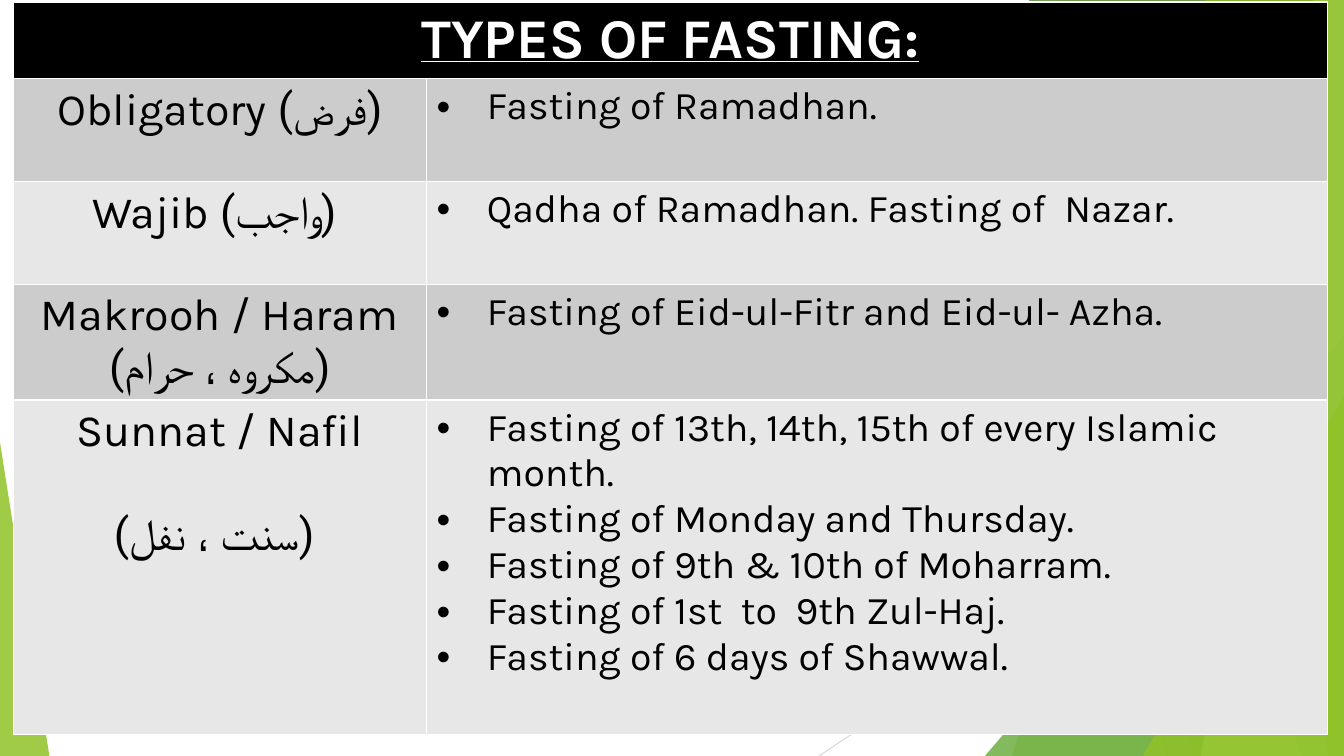
"""Build a slide with a table of the types of fasting."""
from lxml import etree
from pptx import Presentation
from pptx.dml.color import RGBColor
from pptx.enum import shapes, text
from pptx.oxml import ns
from pptx.util import Pt


def paint(fill, color, opacity=100):
    """Fill with a hex colour at an opacity in percent."""
    fill.solid()
    fill.fore_color.rgb = RGBColor.from_string(color)
    if opacity < 100:
        tone = fill._xPr.find(".//" + ns.qn("a:srgbClr"))
        etree.SubElement(tone, ns.qn("a:alpha"), val=str(opacity * 1000))


def write(para, words, size, font="Karla", color="000000", bold=False, underline=False):
    """Add a formatted run to a paragraph."""
    span = para.add_run()
    span.text = words
    span.font.name, span.font.size = font, Pt(size)
    span.font.bold, span.font.underline = bold, underline
    paint(span.font.fill, color)


deck = Presentation()
deck.slide_width, deck.slide_height = Pt(960), Pt(540)
page = deck.slides.add_slide(deck.slide_layouts[6])

for x1, y1, x2, y2, color in [(738, 0, 834, 540, "BFBFBF"), (960, 290, 585, 540, "D9D9D9")]:
    line = page.shapes.add_connector(
        shapes.MSO_CONNECTOR.STRAIGHT, Pt(x1), Pt(y1), Pt(x2), Pt(y2))
    line.line.width = Pt(0.75)
    paint(line.line.fill, color)
    etree.SubElement(line._element.spPr, ns.qn("a:effectLst"))

facets = [
    ("band", (884, 723), "90C226", 30),
    ("band", (756, 852), "90C226", 20),
    ("triangle", (703.5, 240, 256.5, 300, 1), "54A021", 72),
    ("band", (735, 930), "3F7819", 70),
    ("band", (938, 858), "C0E474", 70),
    ("band", (861, 949), "90C226", 65),
    ("triangle", (816.5, 283, 143.5, 257, 1), "90C226", 80),
    ("triangle", (0, 316, 35.3, 224, 0), "90C226", 85),
]
for kind, geometry, color, opacity in facets:
    if kind == "band":
        top_x, bottom_x = geometry
        outline = page.shapes.build_freeform(top_x, 0, scale=Pt(1))
        outline.add_line_segments([(960, 0), (960, 540), (bottom_x, 540)])
        facet = outline.convert_to_shape()
    else:
        *frame, apex = geometry
        facet = page.shapes.add_shape(
            shapes.MSO_SHAPE.ISOSCELES_TRIANGLE, *[Pt(value) for value in frame])
        facet.adjustments[0] = apex
    facet.shadow.inherit = False
    facet.line.fill.background()
    paint(facet.fill, color, opacity)

heights = [54.72, 73.44, 73.44, 82.8, 239]
widths = [295.2, 643.7]
table = page.shapes.add_table(
    5, 2, Pt(9.4), Pt(1.4), Pt(sum(widths)), Pt(sum(heights))).table
for column, width in zip(table.columns, widths):
    column.width = Pt(width)
for row, height in zip(table.rows, heights):
    row.height = Pt(height)

title = table.cell(0, 0)
title.merge(table.cell(0, 1))
for cell in table.rows[0].cells:
    paint(cell.fill, "000000")
para = title.text_frame.paragraphs[0]
para.alignment = text.PP_ALIGN.CENTER
write(para, "TYPES OF FASTING:", 40, color="FFFFFF", bold=True, underline=True)

kinds = [
    ("Obligatory ", "(فرض)", None, ["Fasting of Ramadhan."]),
    ("Wajib ", "(واجب) ", None, ["Qadha of Ramadhan. Fasting of  Nazar."]),
    ("Makrooh / Haram", "(مکروہ ، حرام)", 0, ["Fasting of Eid-ul-Fitr and Eid-ul- Azha."]),
    ("Sunnat / Nafil", "(سنت ، نفل) ", 37, [
        "Fasting of 13th, 14th, 15th of every Islamic month.",
        "Fasting of Monday and Thursday.",
        "Fasting of 9th & 10th of Moharram.",
        "Fasting of 1st  to  9th Zul-Haj.",
        "Fasting of 6 days of Shawwal.",
    ]),
]
for index, (name, arabic, gap, fasts) in enumerate(kinds, 1):
    name_cell, fasts_cell = table.rows[index].cells
    for cell in (name_cell, fasts_cell):
        paint(cell.fill, "CCCCCC" if index % 2 else "E7E7E7")

    para = name_cell.text_frame.paragraphs[0]
    para.alignment = text.PP_ALIGN.CENTER
    write(para, name, 32)
    if gap is not None:
        para = name_cell.text_frame.add_paragraph()
        para.alignment = text.PP_ALIGN.CENTER
        para.space_before = Pt(gap)
    write(para, arabic, 32, font="Roboto")

    frame = fasts_cell.text_frame
    for number, fast in enumerate(fasts):
        para = frame.add_paragraph() if number else frame.paragraphs[0]
        write(para, fast, 28)
        layout = para._p.get_or_add_pPr()
        layout.set("marL", str(Pt(36)))
        layout.set("indent", str(Pt(-36)))
        etree.SubElement(layout, ns.qn("a:buFont"), typeface="Arial")
        etree.SubElement(layout, ns.qn("a:buChar"), char="•")

deck.save("out.pptx")
